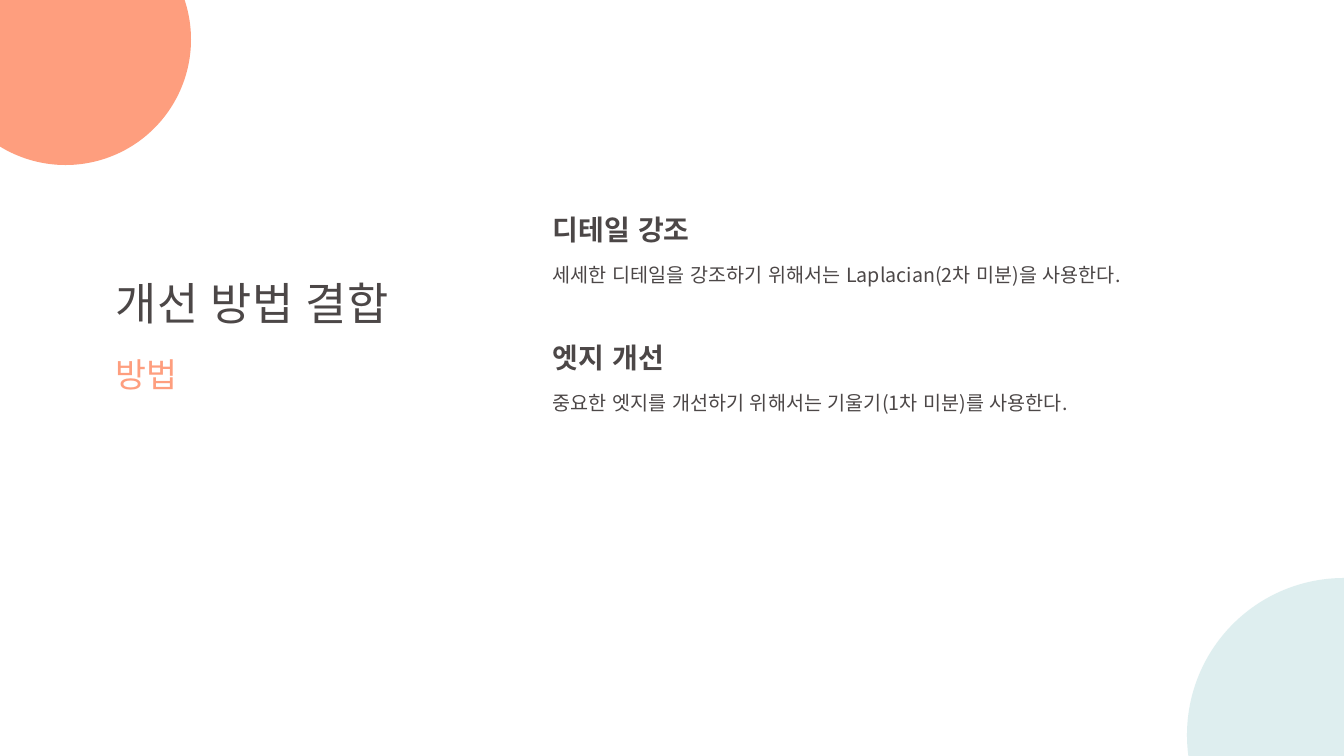
import pptx
import pptx.dml.color
import pptx.enum.shapes
import pptx.enum.text
import pptx.oxml
import pptx.oxml.ns
import pptx.util
import lxml.etree

PX = 914400 / 100.8
FONT = "Noto Sans CJK KR"
DARK, CORAL, MINT = "4C4747", "FE9E7E", "C8E4E5"
DRAWING = pptx.oxml.ns.nsdecls("a")


def px(*lengths):
    return [pptx.util.Emu(round(length * PX)) for length in lengths]


def color(hex_string):
    return pptx.dml.color.RGBColor.from_string(hex_string)


presentation = pptx.Presentation()
presentation.slide_width, presentation.slide_height = px(1344, 756)
slide = presentation.slides.add_slide(presentation.slide_layouts[6])

# Corner circles: left, top, diameter, fill, opacity in percent
circles = [
    (-60, -86, 251, CORAL, 100),
    (1187, 578, 314, MINT, 60),
]
for left, top, diameter, fill, opacity in circles:
    circle = slide.shapes.add_shape(
        pptx.enum.shapes.MSO_SHAPE.OVAL, *px(left, top, diameter, diameter))
    circle.shadow.inherit = False
    circle.fill.solid()
    circle.fill.fore_color.rgb = color(fill)
    circle.line.fill.background()
    if opacity < 100:
        fill_color = circle.fill._xPr.find(".//" + pptx.oxml.ns.qn("a:srgbClr"))
        lxml.etree.SubElement(
            fill_color, pptx.oxml.ns.qn("a:alpha"), val=str(opacity * 1000))

# Text styles
styles = {
    "title": {"size": pptx.util.Pt(32), "bold": False},
    "subtitle": {"size": pptx.util.Pt(24), "bold": False},
    "heading": {"size": pptx.util.Pt(20), "bold": True},
    "detail": {"size": pptx.util.Pt(14), "bold": False},
}

# Text pairs: text, style, colour, left, top, width, height
text_pairs = [
    [("개선 방법 결합", "title", DARK, 106, 271, 324, 64),
     ("방법", "subtitle", CORAL, 106, 349, 89, 50)],
    [("디테일 강조", "heading", DARK, 543, 208, 171, 44),
     ("세세한 디테일을 강조하기 위해서는 Laplacian(2차 미분)을 사용한다.",
      "detail", DARK, 543, 258, 621, 34)],
    [("엣지 개선", "heading", DARK, 543, 336, 143, 44),
     ("중요한 엣지를 개선하기 위해서는 기울기(1차 미분)를 사용한다.",
      "detail", DARK, 543, 386, 584, 34)],
]
for pair in text_pairs:
    group = slide.shapes.add_group_shape()
    for text, style, text_color, *box in pair:
        text_frame = group.shapes.add_textbox(*px(*box)).text_frame
        text_frame.word_wrap = False
        text_frame.auto_size = pptx.enum.text.MSO_AUTO_SIZE.SHAPE_TO_FIT_TEXT
        run = text_frame.paragraphs[0].add_run()
        run.text = text
        for name, value in styles[style].items():
            setattr(run.font, name, value)
        run.font.name = FONT
        run.font.color.rgb = color(text_color)

        # Faint letter outline and the Korean typeface
        properties = run._r.get_or_add_rPr()
        properties.set("lang", "ko-KR")
        properties.insert(0, pptx.oxml.parse_xml(
            f'<a:ln {DRAWING} w="9525"><a:solidFill><a:srgbClr val="{text_color}">'
            '<a:alpha val="20000"/></a:srgbClr></a:solidFill></a:ln>'))
        properties.append(pptx.oxml.parse_xml(
            f'<a:ea {DRAWING} typeface="{FONT}"/>'))

presentation.save("out.pptx")
